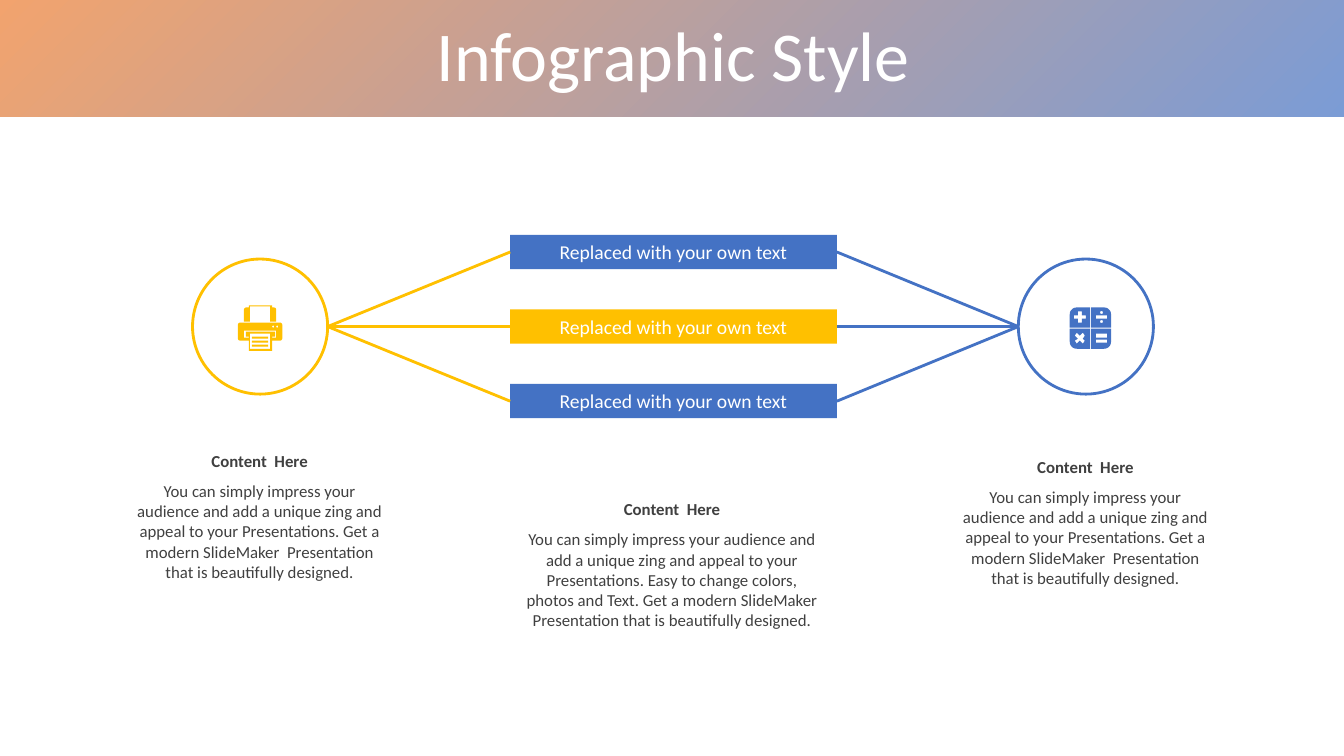
from dataclasses import dataclass
from math import cos, radians, sin

from lxml.etree import SubElement
from pptx import Presentation
from pptx.dml.color import RGBColor
from pptx.enum.shapes import MSO_CONNECTOR as Link, MSO_SHAPE as Shape
from pptx.enum.text import MSO_ANCHOR as Anchor, MSO_AUTO_SIZE as Fit, PP_ALIGN as Align
from pptx.oxml.ns import qn
from pptx.util import Inches, Pt

BLUE = RGBColor(0x44, 0x72, 0xC4)
GOLD = RGBColor(0xFF, 0xC0, 0x00)
ORANGE = RGBColor(0xED, 0x7D, 0x31)
WHITE = RGBColor(0xFF, 0xFF, 0xFF)
GRAY = RGBColor(0x40, 0x40, 0x40)
Path = list[tuple[float, float]]


@dataclass
class Hub:
    left: float
    edge: float  # where its links meet
    side: int  # side of the bars its links leave from
    color: RGBColor


@dataclass
class Note:
    left: float
    top: float
    width: float
    text: str


SHORT = ("You can simply impress your audience and add a unique zing and appeal to your "
         "Presentations. Get a modern SlideMaker  Presentation that is beautifully designed.")
LONG = ("You can simply impress your audience and add a unique zing and appeal to your "
        "Presentations. Easy to change colors, photos and Text. Get a modern SlideMaker "
        "Presentation that is beautifully designed.")
HUBS = [Hub(1.91, 3.25, 1, GOLD), Hub(10.1, 10.1, 3, BLUE)]
NOTES = [Note(1.23, 4.42, 2.69, SHORT), Note(5.07, 4.9, 3.19, LONG),
         Note(9.42, 4.48, 2.69, SHORT)]
BARS = [BLUE, GOLD, BLUE]
BAR_TOP, BAR_STEP, BAR_H = 2.33, 0.74, 0.34
HUB_Y, HUB_D = 3.24, 1.34


def box(left: float, top: float, right: float, bottom: float) -> Path:
    return [(left, top), (right, top), (right, bottom), (left, bottom)]


def arc(x: float, y: float, r: float, start: int, end: int) -> Path:
    """Points on a clockwise arc, angles in degrees from the right."""
    turns = [radians(start + (end - start) * i / 12) for i in range(13)]
    return [(x + r * cos(a), y + r * sin(a)) for a in turns]


def tile(x: float, y: float, dx: int, dy: int, start: int) -> Path:
    """One calculator key: square, with its outer corner rounded."""
    w, r = 0.2, 0.07
    curve = arc(x + dx * (w - r), y + dy * (w - r), r, start, start + 90)
    ends = [(x + dx * w, y), (x, y + dy * w)]
    first, last = ends if dx == dy else ends[::-1]
    return [(x, y), first, *curve, last]


CALC = [
    tile(10.81, 3.25, -1, -1, 180), tile(10.82, 3.25, 1, -1, 270),
    tile(10.82, 3.26, 1, 1, 0), tile(10.81, 3.26, -1, 1, 90),
    box(10.87, 3.37, 10.98, 3.4), box(10.87, 3.31, 10.98, 3.35),
    box(10.87, 3.13, 10.98, 3.16),
    arc(10.925, 3.19, 0.015, 0, 360), arc(10.925, 3.1, 0.015, 0, 360),
    [(10.69, 3.09), (10.73, 3.09), (10.73, 3.13), (10.77, 3.13), (10.77, 3.16), (10.73, 3.16),
     (10.73, 3.2), (10.69, 3.2), (10.69, 3.16), (10.65, 3.16), (10.65, 3.13), (10.69, 3.13)],
    [(10.68, 3.3), (10.71, 3.33), (10.74, 3.3), (10.76, 3.33), (10.74, 3.36), (10.76, 3.38),
     (10.74, 3.41), (10.71, 3.38), (10.68, 3.41), (10.66, 3.38), (10.69, 3.36), (10.66, 3.33)],
]
PRINTER = [
    [*arc(2.385, 3.225, 0.025, 180, 270), *arc(2.775, 3.225, 0.025, 270, 360),
     *arc(2.775, 3.355, 0.025, 0, 90), (2.7, 3.38), (2.7, 3.48), (2.47, 3.48),
     (2.47, 3.38), *arc(2.385, 3.355, 0.025, 90, 180)],
    [(2.42, 3.28), (2.74, 3.28), (2.74, 3.35), (2.7, 3.35), (2.7, 3.34), (2.73, 3.34),
     (2.73, 3.29), (2.44, 3.29), (2.44, 3.34), (2.47, 3.34), (2.47, 3.35), (2.42, 3.35)],
    box(2.48, 3.31, 2.68, 3.46),
    *[box(2.5, y, 2.66, y + 0.02) for y in (3.34, 3.38, 3.42)],
    *[arc(x, 3.24, 0.01, 0, 360) for x in (2.71, 2.75)],
    [(2.47, 3.03), (2.7, 3.03), (2.7, 3.05), *arc(2.715, 3.075, 0.025, 270, 360), (2.74, 3.19),
     (2.68, 3.19), (2.68, 3.04), (2.48, 3.04), (2.48, 3.19), (2.42, 3.19),
     *arc(2.445, 3.075, 0.025, 180, 270), (2.47, 3.05)],
]


def write(shape, text: str, *, size: int, color: RGBColor, bold: bool = False):
    frame = shape.text_frame
    frame.word_wrap = True
    frame.auto_size = Fit.NONE
    para = frame.paragraphs[0]
    para.alignment = Align.CENTER
    run = para.add_run()
    run.text = text
    font = run.font
    font.name, font.size, font.bold = "Calibri", Pt(size), bold
    font.color.rgb = color
    return para


def add(slide, kind: Shape, left: float, top: float, width: float, height: float):
    shape = slide.shapes.add_shape(
        kind, Inches(left), Inches(top), Inches(width), Inches(height))
    shape.shadow.inherit = False
    shape.line.fill.background()
    return shape


def paint(shape, color: RGBColor) -> None:
    shape.fill.solid()
    shape.fill.fore_color.rgb = color


def icon(slide, paths: list[Path], color: RGBColor) -> None:
    """Draw all outlines as one shape; inner ones become holes."""
    mils = [[(x * 1000, y * 1000) for x, y in path] for path in paths]
    pen = slide.shapes.build_freeform(*mils[0][0], scale=Inches(1) / 1000)
    pen.add_line_segments(mils[0][1:], close=True)
    for path in mils[1:]:
        pen.move_to(*path[0])
        pen.add_line_segments(path[1:], close=True)
    shape = pen.convert_to_shape()
    shape.shadow.inherit = False
    shape.line.fill.background()
    paint(shape, color)


def band(slide) -> None:
    shape = add(slide, Shape.RECTANGLE, 0, 0, 13.33, 1.16)
    shape.fill.gradient()
    shape.fill.gradient_angle = 135
    for stop, color in zip(shape.fill.gradient_stops, (BLUE, ORANGE)):
        stop.color.rgb = color
    for tint in shape._element.iter(qn("a:srgbClr")):
        SubElement(tint, qn("a:alpha"), val="70000")
    slide.shapes._spTree.insert(2, shape._element)


def head(slide) -> None:
    title = slide.shapes.title
    title.left, title.top = Inches(0.35), Inches(0.21)
    title.width, title.height = Inches(12.66), Inches(0.79)
    title.text_frame.vertical_anchor = Anchor.MIDDLE
    para = write(title, "Infographic Style", size=50, color=WHITE)
    para.line_spacing, para.space_before = 0.8, Pt(10)


def join(slide, bar, hub: Hub) -> None:
    end = Inches(hub.edge), Inches(HUB_Y)
    line = slide.shapes.add_connector(Link.STRAIGHT, *end, *end)
    line.begin_connect(bar, hub.side)
    line.line.color.rgb, line.line.width = hub.color, Pt(2)
    SubElement(line._element.spPr, qn("a:effectLst"))


def note(slide, item: Note) -> None:
    rows = [("Content  Here", 0, 0.3, True), (item.text, 0.3, 1.31, False)]
    for text, drop, height, bold in rows:
        area = slide.shapes.add_textbox(Inches(item.left), Inches(item.top + drop),
                                        Inches(item.width), Inches(height))
        write(area, text, size=12, color=GRAY, bold=bold)


def main() -> None:
    deck = Presentation()
    deck.slide_width, deck.slide_height = Inches(13.33), Inches(7.5)
    slide = deck.slides.add_slide(deck.slide_layouts[5])
    band(slide)
    head(slide)
    for i, color in enumerate(BARS):
        bar = add(slide, Shape.RECTANGLE, 5.06, BAR_TOP + i * BAR_STEP, 3.24, BAR_H)
        paint(bar, color)
        write(bar, "Replaced with your own text", size=14, color=WHITE)
        for hub in HUBS:
            join(slide, bar, hub)
    for hub in HUBS:
        ring = add(slide, Shape.OVAL, hub.left, HUB_Y - HUB_D / 2, HUB_D, HUB_D)
        paint(ring, WHITE)
        ring.line.color.rgb, ring.line.width = hub.color, Pt(2)
    for item in NOTES:
        note(slide, item)
    icon(slide, CALC, BLUE)
    icon(slide, PRINTER, GOLD)
    deck.save("out.pptx")


if __name__ == "__main__":
    main()
